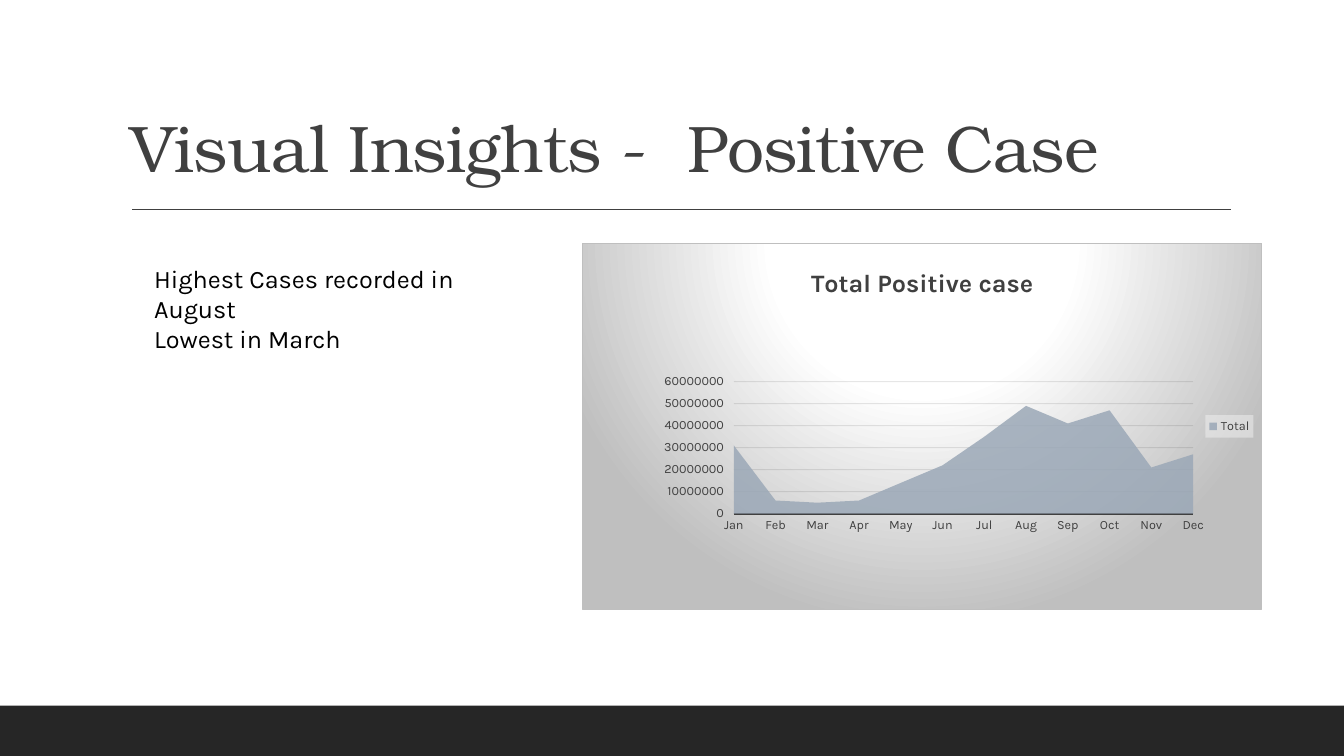
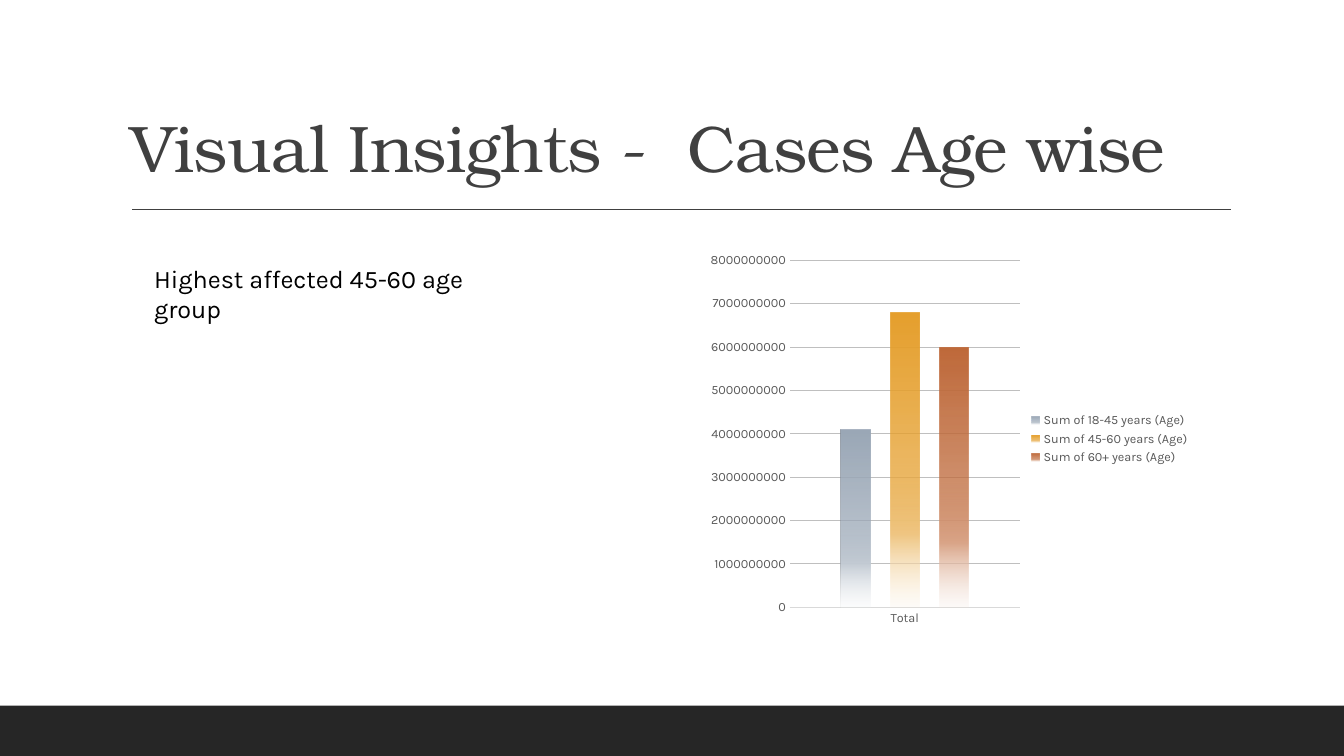
from dataclasses import dataclass
from typing import Optional

from lxml import etree
from pptx import Presentation
from pptx.chart.data import CategoryChartData
from pptx.dml.color import RGBColor
from pptx.enum.chart import XL_CHART_TYPE as ChartType
from pptx.enum.chart import XL_LEGEND_POSITION as LegendPos
from pptx.enum.chart import XL_TICK_MARK as Tick
from pptx.enum.shapes import MSO_CONNECTOR as Connector
from pptx.enum.shapes import MSO_SHAPE as Shape
from pptx.enum.text import MSO_ANCHOR as Anchor
from pptx.oxml import parse_xml
from pptx.oxml.ns import nsdecls, qn
from pptx.util import Inches, Pt

# Theme
HEAD_FONT, BODY_FONT = "TeX Gyre Bonum", "Karla"
BLACK = RGBColor(0x00, 0x00, 0x00)
BAND = RGBColor(0x26, 0x26, 0x26)
DARK = RGBColor(0x40, 0x40, 0x40)
GREY = RGBColor(0x59, 0x59, 0x59)
SILVER = RGBColor(0xBF, 0xBF, 0xBF)
PALE = RGBColor(0xD9, 0xD9, 0xD9)
MIST = RGBColor(0xF2, 0xF2, 0xF2)
WHITE = RGBColor(0xFF, 0xFF, 0xFF)
INK = RGBColor(0x0D, 0x0D, 0x0D)
BLUE = RGBColor(0x9B, 0xA8, 0xB7)
BLUE_MID = RGBColor(0xC3, 0xCB, 0xD4)
BLUE_PALE = RGBColor(0xEB, 0xEE, 0xF1)
GOLD = RGBColor(0xE6, 0xA0, 0x2E)
GOLD_MID = RGBColor(0xF0, 0xC6, 0x82)
GOLD_PALE = RGBColor(0xFA, 0xEC, 0xD5)
RUST = RGBColor(0xBF, 0x6A, 0x3B)
RUST_MID = RGBColor(0xDA, 0xA5, 0x88)
RUST_PALE = RGBColor(0xF3, 0xE1, 0xD7)


@dataclass
class Stop:
    pos: int
    color: RGBColor
    alpha: int = 100


@dataclass
class ChartSpec:
    kind: ChartType
    box: tuple[float, float, float, float]
    plot: tuple[float, float, float, float]
    cats: list[str]
    series: dict[str, list[int]]
    top: int
    unit: int
    text: RGBColor
    axis: RGBColor
    axis_width: float
    grid: RGBColor
    val_tick: Tick = Tick.NONE
    title: Optional[str] = None


# XML helpers
def color_xml(color: RGBColor, alpha: int = 100) -> str:
    return f'<a:srgbClr val="{color}"><a:alpha val="{alpha * 1000}"/></a:srgbClr>'


def solid_fill(color: RGBColor, alpha: int):
    return parse_xml(f'<a:solidFill {nsdecls("a")}>{color_xml(color, alpha)}</a:solidFill>')


def grad_fill(stops: list[Stop], direction: str):
    gs = "".join(f'<a:gs pos="{s.pos * 1000}">{color_xml(s.color, s.alpha)}</a:gs>' for s in stops)
    return parse_xml(f'<a:gradFill {nsdecls("a")} rotWithShape="1"><a:gsLst>{gs}</a:gsLst>'
                     f'{direction}</a:gradFill>')


def manual_layout(x: float, y: float, size: Optional[tuple[float, float]] = None):
    items = [("xMode", "edge"), ("yMode", "edge"), ("x", x), ("y", y)]
    if size:
        items = [("layoutTarget", "inner"), *items, ("w", size[0]), ("h", size[1])]
    body = "".join(f'<c:{tag} val="{val}"/>' for tag, val in items)
    return parse_xml(f'<c:layout {nsdecls("c")}><c:manualLayout>{body}</c:manualLayout></c:layout>')


def set_plot_layout(chart, plot: tuple[float, float, float, float]) -> None:
    area = chart.element.find(".//" + qn("c:plotArea"))
    old = area.find(qn("c:layout"))
    if old is not None:
        area.remove(old)
    area.insert(0, manual_layout(plot[0], plot[1], plot[2:]))


# Text
def add_run(p, text: str, font: str, size: float, color: RGBColor):
    r = p.add_run()
    r.text = text
    r.font.name, r.font.size = font, Pt(size)
    r.font.color.rgb = color
    return r


def add_frame(s, x: float, y: float, w: float, h: float):
    tf = s.shapes.add_textbox(Inches(x), Inches(y), Inches(w), Inches(h)).text_frame
    tf.word_wrap = True
    return tf


# Shared slide frame: band, rule, title and notes at the left
def add_insight_slide(prs, title: str, findings: list[str]):
    s = prs.slides.add_slide(prs.slide_layouts[6])
    band = s.shapes.add_shape(Shape.RECTANGLE, 0, Inches(7), prs.slide_width, Inches(0.5))
    band.shadow.inherit = False
    band.fill.solid()
    band.fill.fore_color.rgb = BAND
    band.line.fill.background()

    rule = s.shapes.add_connector(Connector.STRAIGHT, Inches(1.31), Inches(2.08),
                                  Inches(12.21), Inches(2.08))
    rule.line.color.rgb, rule.line.width = DARK, Pt(1)
    etree.SubElement(rule.element.spPr, qn("a:effectLst"))

    tf = add_frame(s, 1.2, 0.31, 11, 1.59)
    tf.vertical_anchor = Anchor.BOTTOM
    p = tf.paragraphs[0]
    p.line_spacing = 0.9
    r = add_run(p, title, HEAD_FONT, 47, DARK)
    r.font.element.set("spc", "-50") if hasattr(r.font, "element") else r._r.get_or_add_rPr().set("spc", "-50")

    tf = add_frame(s, 1.43, 2.56, 3.77, 0.71)
    for i, line in enumerate(findings):
        p = tf.add_paragraph() if i else tf.paragraphs[0]
        add_run(p, line, BODY_FONT, 18, BLACK)
    return s


# Charts
def style_font(font, size: float, color: RGBColor) -> None:
    font.name, font.size = BODY_FONT, Pt(size)
    font.color.rgb = color


def add_insight_chart(s, spec: ChartSpec):
    data = CategoryChartData()
    data.categories = spec.cats
    for name, values in spec.series.items():
        data.add_series(name, values)
    chart = s.shapes.add_chart(spec.kind, *map(Inches, spec.box), data).chart
    style_font(chart.font, 10, BLACK)
    set_plot_layout(chart, spec.plot)

    chart.has_title = spec.title is not None
    if spec.title:
        r = add_run(chart.chart_title.text_frame.paragraphs[0], spec.title, BODY_FONT, 18, DARK)
        r.font.bold = True

    chart.has_legend = True
    chart.legend.position = LegendPos.RIGHT
    chart.legend.include_in_layout = False
    style_font(chart.legend.font, 9, spec.text)

    cat, val = chart.category_axis, chart.value_axis
    for axis in (cat, val):
        style_font(axis.tick_labels.font, 9, spec.text)
        axis.major_tick_mark = axis.minor_tick_mark = Tick.NONE
    cat.has_major_gridlines = False
    cat.format.line.color.rgb = spec.axis
    cat.format.line.width = Pt(spec.axis_width)
    val.major_tick_mark = spec.val_tick
    val.minimum_scale, val.maximum_scale, val.major_unit = 0, spec.top, spec.unit
    val.format.line.fill.background()
    val.has_major_gridlines = True
    grid = val.major_gridlines.format.line
    grid.color.rgb, grid.width = spec.grid, Pt(0.75)
    return chart


def fill_series(series, fill) -> None:
    series._element.get_or_add_spPr().insert(0, fill)


def build_positive_cases(prs) -> None:
    s = add_insight_slide(prs, "Visual Insights -  Positive Case",
                          ["Highest Cases recorded in August", "Lowest in March"])
    millions = [31, 6, 5, 6, 14, 22, 35, 49, 41, 47, 21, 27]
    chart = add_insight_chart(s, ChartSpec(
        ChartType.AREA, (5.77, 2.41, 6.75, 3.64), (0.223, 0.378, 0.676, 0.361),
        "Jan Feb Mar Apr May Jun Jul Aug Sep Oct Nov Dec".split(),
        {"Total": [m * 10**6 for m in millions]}, 60 * 10**6, 10**7,
        DARK, DARK, 1.5, INK, Tick.OUTSIDE, "Total Positive case"))
    fill_series(chart.plots[0].series[0], solid_fill(BLUE, 85))

    # Faint grid lines
    grid_color = chart.value_axis.major_gridlines.format.line.color
    grid_clr = chart.element.find(".//" + qn("c:majorGridlines")).find(".//" + qn("a:srgbClr"))
    if grid_color.rgb == INK:
        etree.SubElement(grid_clr, qn("a:alpha")).set("val", "10000")

    # Title position
    title = chart.chart_title.element if hasattr(chart.chart_title, "element") else chart.chart_title._element
    old = title.find(qn("c:layout"))
    if old is not None:
        title.remove(old)
    title.find(qn("c:tx")).addnext(manual_layout(0.33, 0.05))

    # Legend box
    box = parse_xml(f'<c:spPr {nsdecls("c", "a")}/>')
    box.append(solid_fill(MIST, 50))
    chart.legend._element.find(qn("c:txPr")).addprevious(box)

    # Radial background with a thin border
    back = parse_xml(f'<c:spPr {nsdecls("c", "a")}><a:ln w="{Pt(0.75)}"><a:solidFill>'
                     f'{color_xml(SILVER)}</a:solidFill></a:ln></c:spPr>')
    radial = '<a:path path="circle"><a:fillToRect l="50000" t="-80000" r="50000" b="180000"/></a:path>'
    back.insert(0, grad_fill([Stop(0, WHITE), Stop(39, WHITE), Stop(100, SILVER)], radial))
    chart.element.find(qn("c:chart")).addnext(back)


def build_cases_by_age(prs) -> None:
    s = add_insight_slide(prs, "Visual Insights -  Cases Age wise",
                          ["Highest affected 45-60 age group"])
    billions = {"18-45": 4.1, "45-60": 6.8, "60+": 6.0}
    chart = add_insight_chart(s, ChartSpec(
        ChartType.COLUMN_CLUSTERED, (6.94, 2.43, 4.96, 3.85), (0.18, 0.04, 0.46, 0.894),
        ["Total"],
        {f"Sum of {age} years (Age)": [round(b * 10**9)] for age, b in billions.items()},
        8 * 10**9, 10**9, GREY, PALE, 0.75, SILVER))
    plot = chart.plots[0]
    plot.gap_width, plot.overlap, plot.vary_by_categories = 355, -70, False
    shades = [(BLUE, BLUE_MID, BLUE_PALE), (GOLD, GOLD_MID, GOLD_PALE), (RUST, RUST_MID, RUST_PALE)]
    for series, (full, mid, pale) in zip(plot.series, shades):
        stops = [Stop(0, full), Stop(51, full, 75), Stop(75, mid), Stop(100, pale, 15)]
        fill_series(series, grad_fill(stops, '<a:lin ang="5400000" scaled="0"/>'))
        series.invert_if_negative = False


def main() -> None:
    prs = Presentation()
    prs.slide_width, prs.slide_height = Inches(13.33), Inches(7.5)
    build_positive_cases(prs)
    build_cases_by_age(prs)
    prs.save("out.pptx")


if __name__ == "__main__":
    main()
